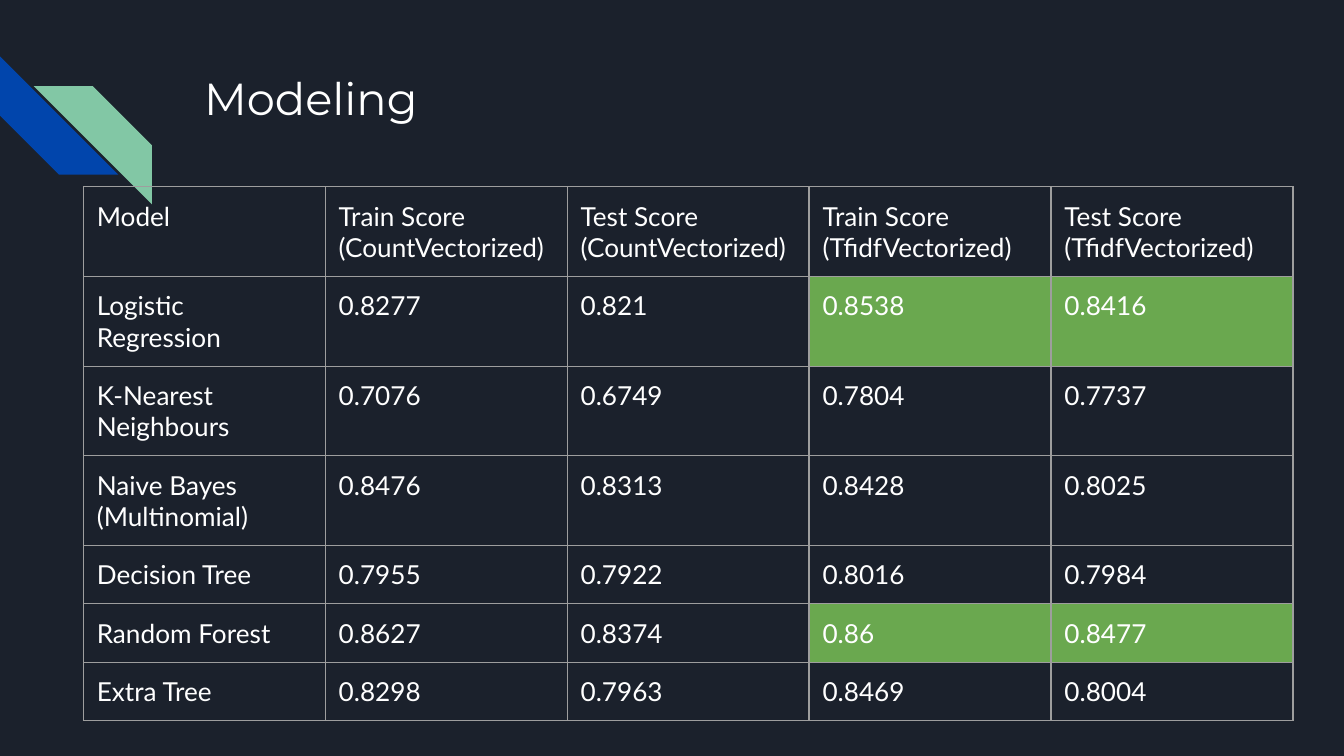
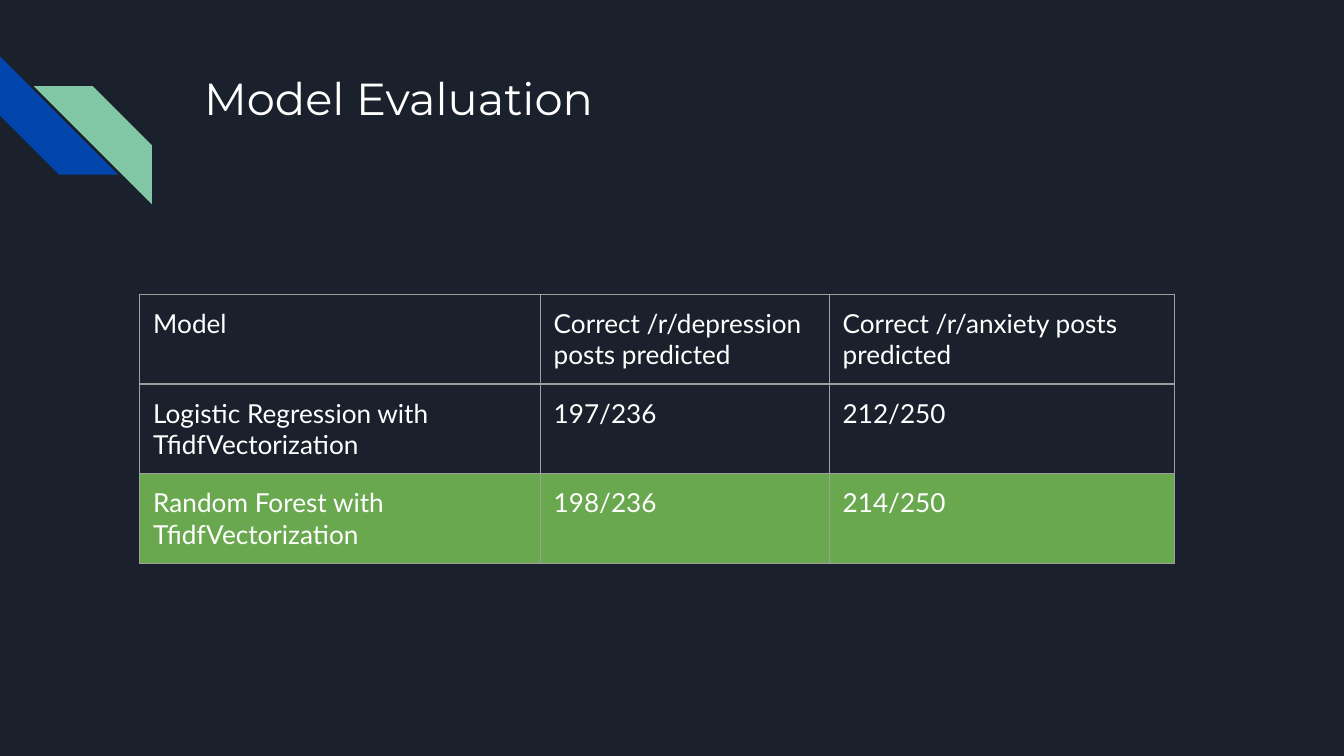
from dataclasses import dataclass

from lxml.etree import SubElement
from pptx import Presentation
from pptx.dml.color import RGBColor
from pptx.enum.shapes import MSO_SHAPE
from pptx.oxml.ns import qn
from pptx.slide import Slide
from pptx.table import _Cell
from pptx.text.text import TextFrame
from pptx.util import Inches, Pt

PAGE_WIDTH = 10
PAGE_HEIGHT = PAGE_WIDTH * 9 / 16
NAVY = "1B212C"
BLUE = "0145AC"
MINT = "82C7A5"
WHITE = "FFFFFF"
GREY = "9E9E9E"
GREEN = "6AA84F"
TITLE_FONT = "Montserrat"
BODY_FONT = "Lato"
INSET = Inches(0.1)
ROW_HEIGHT = 0.43
STRIPE_SIZE = Inches(0.88)


@dataclass(frozen=True)
class Stripe:
    left: float
    top: float
    rotation: int
    color: str


@dataclass(frozen=True)
class ScoreTable:
    left: float
    top: float
    widths: list[float]
    rows: list[list[str]]
    highlights: set[tuple[int, int]]


STRIPES = [Stripe(0, 0.42, 270, BLUE), Stripe(0.25, 0.64, 90, MINT)]

MODELING = ScoreTable(
    left=0.62,
    top=1.39,
    widths=[1.8] * 5,
    rows=[
        ["Model", "Train Score (CountVectorized)", "Test Score (CountVectorized)",
         "Train Score (TfidfVectorized)", "Test Score (TfidfVectorized)"],
        ["Logistic Regression", "0.8277", "0.821", "0.8538", "0.8416"],
        ["K-Nearest Neighbours", "0.7076", "0.6749", "0.7804", "0.7737"],
        ["Naive Bayes (Multinomial)", "0.8476", "0.8313", "0.8428", "0.8025"],
        ["Decision Tree", "0.7955", "0.7922", "0.8016", "0.7984"],
        ["Random Forest", "0.8627", "0.8374", "0.86", "0.8477"],
        ["Extra Tree", "0.8298", "0.7963", "0.8469", "0.8004"],
    ],
    highlights={(row, column) for row in (1, 5) for column in (3, 4)},
)

EVALUATION = ScoreTable(
    left=1.04,
    top=2.19,
    widths=[2.98, 2.15, 2.57],
    rows=[
        ["Model", "Correct /r/depression posts predicted",
         "Correct /r/anxiety posts predicted"],
        ["Logistic Regression with TfidfVectorization", "197/236", "212/250"],
        ["Random Forest with TfidfVectorization", "198/236", "214/250"],
    ],
    highlights={(2, column) for column in range(3)},
)


def rgb(color: str) -> RGBColor:
    return RGBColor.from_string(color)


def write_text(frame: TextFrame, text: str, font_name: str, size: int) -> None:
    frame.text = text
    font = frame.paragraphs[0].runs[0].font
    font.name = font_name
    font.size = Pt(size)
    font.color.rgb = rgb(WHITE)


def add_stripe(page: Slide, stripe: Stripe) -> None:
    shape = page.shapes.add_shape(
        MSO_SHAPE.DIAGONAL_STRIPE, Inches(stripe.left), Inches(stripe.top),
        STRIPE_SIZE, STRIPE_SIZE)
    shape.adjustments[0] = 0.5
    shape.rotation = stripe.rotation
    shape.shadow.inherit = False
    shape.fill.solid()
    shape.fill.fore_color.rgb = rgb(stripe.color)
    shape.line.fill.background()


def add_title(page: Slide, title: str) -> None:
    box = page.shapes.add_textbox(Inches(1.42), Inches(0.43), Inches(7.7), Inches(1))
    frame = box.text_frame
    frame.word_wrap = True
    frame.margin_left = frame.margin_right = INSET
    frame.margin_top = frame.margin_bottom = INSET
    write_text(frame, title, TITLE_FONT, 24)


def add_borders(cell: _Cell) -> None:
    """Line all four sides; call before filling, as lines precede the fill."""
    properties = cell._tc.get_or_add_tcPr()
    for side in ("lnL", "lnR", "lnT", "lnB"):
        line = SubElement(properties, qn(f"a:{side}"), w=str(Pt(0.75)))
        fill = SubElement(line, qn("a:solidFill"))
        SubElement(fill, qn("a:srgbClr"), val=GREY)


def style_cell(cell: _Cell, text: str, highlighted: bool) -> None:
    cell.margin_left = cell.margin_right = INSET
    cell.margin_top = cell.margin_bottom = INSET
    write_text(cell.text_frame, text, BODY_FONT, 14)
    add_borders(cell)
    if highlighted:
        cell.fill.solid()
        cell.fill.fore_color.rgb = rgb(GREEN)
    else:
        cell.fill.background()


def add_score_table(page: Slide, scores: ScoreTable) -> None:
    row_count = len(scores.rows)
    table = page.shapes.add_table(
        row_count, len(scores.widths), Inches(scores.left), Inches(scores.top),
        Inches(sum(scores.widths)), Inches(ROW_HEIGHT * row_count)).table
    table.first_row = False
    table.horz_banding = False
    for column, width in zip(table.columns, scores.widths):
        column.width = Inches(width)
    for row, texts in enumerate(scores.rows):
        table.rows[row].height = Inches(ROW_HEIGHT)
        for column, text in enumerate(texts):
            style_cell(table.cell(row, column), text, (row, column) in scores.highlights)


def add_page(deck: Presentation, title: str, scores: ScoreTable) -> None:
    page = deck.slides.add_slide(deck.slide_layouts[6])
    page.background.fill.solid()
    page.background.fill.fore_color.rgb = rgb(NAVY)
    for stripe in STRIPES:
        add_stripe(page, stripe)
    add_title(page, title)
    add_score_table(page, scores)


def main() -> None:
    deck = Presentation()
    deck.slide_width = Inches(PAGE_WIDTH)
    deck.slide_height = Inches(PAGE_HEIGHT)
    add_page(deck, "Modeling", MODELING)
    add_page(deck, "Model Evaluation", EVALUATION)
    deck.save("out.pptx")


if __name__ == "__main__":
    main()
